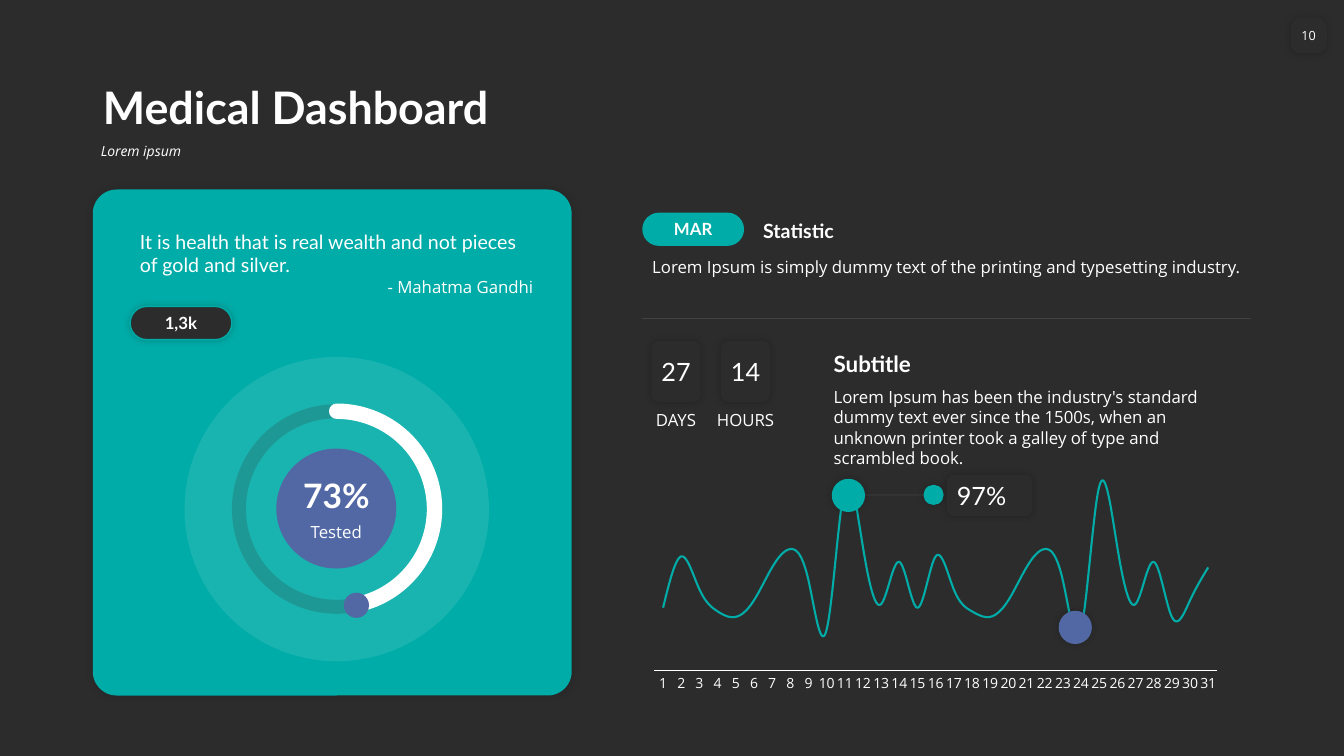
"""Build the medical dashboard slide."""
import pptx
import pptx.chart.data
import pptx.dml.color
import pptx.enum.chart
import pptx.enum.shapes
import pptx.enum.text
import pptx.oxml
import pptx.oxml.ns
import pptx.util
from pptx.util import Inches

DARK = pptx.dml.color.RGBColor(0x2C, 0x2C, 0x2C)
TEAL = pptx.dml.color.RGBColor(0x00, 0xAC, 0xA8)
BLUE = pptx.dml.color.RGBColor(0x52, 0x68, 0xA5)
WHITE = pptx.dml.color.RGBColor(0xFF, 0xFF, 0xFF)
HEADING, BODY = "Lato", "Open Sans"
SHAPE = pptx.enum.shapes.MSO_SHAPE
ALIGN = pptx.enum.text.PP_ALIGN
ANCHOR = pptx.enum.text.MSO_ANCHOR
AUTO = pptx.enum.text.MSO_AUTO_SIZE
DAILY_CASES = [34, 62, 44, 32, 29, 38, 56, 66, 49, 22, 100, 67, 36, 59,
               34, 62, 44, 32, 29, 38, 56, 66, 49, 22, 100, 67, 36, 59,
               29, 38, 56]


def add_xml(parent, tag, **attributes):
    """Append a drawing element to a parent and return it."""
    child = pptx.oxml.parse_xml(f"<a:{tag} {pptx.oxml.ns.nsdecls('a')}/>")
    for name, value in attributes.items():
        child.set(name, str(value))
    parent.append(child)
    return child


def set_alpha(holder, percent):
    """Make the solid colour inside an element partly transparent."""
    colour = holder.find(".//" + pptx.oxml.ns.qn("a:srgbClr"))
    add_xml(colour, "alpha", val=percent * 1000)


def style_paragraph(paragraph, size, font=BODY, bold=False, align=ALIGN.LEFT):
    """Format a paragraph and its runs."""
    paragraph.alignment = align
    for run in paragraph.runs:
        run.font.size = pptx.util.Pt(size)
        run.font.name = font
        run.font.bold = bold
        run.font.color.rgb = WHITE


def set_insets(frame, side, vertical):
    """Set the inner margins of a text frame in inches."""
    frame.margin_left = frame.margin_right = Inches(side)
    frame.margin_top = frame.margin_bottom = Inches(vertical)


def add_text(slide, box, text, size, font=BODY, bold=False, align=ALIGN.LEFT,
             anchor=ANCHOR.TOP, side=0.1):
    """Add a wrapping text box."""
    frame = slide.shapes.add_textbox(*map(Inches, box)).text_frame
    frame.word_wrap = True
    frame.auto_size = AUTO.SHAPE_TO_FIT_TEXT
    frame.vertical_anchor = anchor
    set_insets(frame, side, 0.05)
    frame.text = text
    style_paragraph(frame.paragraphs[0], size, font, bold, align)
    return frame


def add_shadow(shape, alpha=20, blur=5, distance=0):
    """Give a shape a soft outer shadow."""
    effects = shape._element.spPr.find(pptx.oxml.ns.qn("a:effectLst"))
    shadow = add_xml(effects, "outerShdw", blurRad=pptx.util.Pt(blur),
                     dist=pptx.util.Pt(distance), dir=45 * 60000,
                     algn="ctr", rotWithShape=0)
    add_xml(add_xml(shadow, "srgbClr", val="000000"), "alpha", val=alpha * 1000)


def add_figure(slide, kind, box, fill=None, line=None, width=1, radius=None):
    """Add a preset shape with plain fill and line."""
    shape = slide.shapes.add_shape(kind, *map(Inches, box))
    shape.shadow.inherit = False
    if fill is None:
        shape.fill.background()
    else:
        shape.fill.solid()
        shape.fill.fore_color.rgb = fill
    if line is None:
        shape.line.fill.background()
    else:
        shape.line.color.rgb = line
        shape.line.width = pptx.util.Pt(width)
    if radius is not None:
        shape.adjustments[0] = radius
    return shape


def label_shape(shape, text, size, font=HEADING, bold=False,
                align=ALIGN.CENTER, side=0, vertical=0.05, wrap=True):
    """Write text in the middle of a shape."""
    frame = shape.text_frame
    frame.word_wrap = wrap
    frame.vertical_anchor = ANCHOR.MIDDLE
    set_insets(frame, side, vertical)
    frame.text = text
    style_paragraph(frame.paragraphs[0], size, font, bold, align)


def add_rule(slide, left, right, y):
    """Add a faint horizontal line."""
    rule = slide.shapes.add_connector(
        pptx.enum.shapes.MSO_CONNECTOR.STRAIGHT,
        Inches(left), Inches(y), Inches(right), Inches(y))
    rule.line.color.rgb = WHITE
    rule.line.width = pptx.util.Pt(0.5)
    set_alpha(rule.line._ln, 10)
    add_xml(rule._element.spPr, "effectLst")


def add_dot(slide, left, top, size, fill):
    """Add a round marker with a shadow."""
    add_shadow(add_figure(slide, SHAPE.OVAL, (left, top, size, size), fill))


def fill_headings(slide):
    """Place the title and the line beneath it."""
    title, subtitle = slide.placeholders
    parts = ((title, (0.92, 0.58, 11.5, 0.8), "Medical Dashboard", 32, HEADING),
             (subtitle, (0.9, 1.38, 11.52, 0.36), "Lorem ipsum", 10, BODY))
    for holder, box, text, size, font in parts:
        holder.left, holder.top, holder.width, holder.height = map(Inches, box)
        frame = holder.text_frame
        frame.text = text
        frame.auto_size = AUTO.NONE
        paragraph = frame.paragraphs[0]
        properties = paragraph._p.get_or_add_pPr()
        properties.set("marL", "0")
        properties.set("indent", "0")
        add_xml(properties, "buNone")
        paragraph.line_spacing = 0.9
        paragraph.space_before = pptx.util.Pt(0)
        style_paragraph(paragraph, size, font, holder is title)
    title.text_frame.vertical_anchor = ANCHOR.BOTTOM
    subtitle.text_frame.vertical_anchor = ANCHOR.TOP
    subtitle.text_frame.paragraphs[0].runs[0].font.italic = True


def add_tested_ring(slide):
    """Draw the progress ring with its percentage."""
    halo = add_figure(slide, SHAPE.OVAL, (1.83, 3.54, 3.02, 3.02), WHITE)
    set_alpha(halo._element.spPr, 10)
    add_figure(slide, SHAPE.OVAL, (2.74, 4.45, 1.19, 1.19), BLUE)
    ring = (2.37, 4.08, 1.94, 1.94)
    track = add_figure(slide, SHAPE.OVAL, ring, line=DARK, width=10)
    set_alpha(track.line._ln, 20)
    progress = add_figure(slide, SHAPE.ARC, ring, line=WHITE, width=11, radius=162)
    progress.adjustments[1] = 44.96
    progress.line._ln.set("cap", "rnd")
    add_figure(slide, SHAPE.OVAL, (3.41, 5.88, 0.25, 0.25), BLUE)
    add_text(slide, (2.74, 4.66, 1.19, 0.5), "73%", 24, HEADING, True,
             ALIGN.CENTER, ANCHOR.BOTTOM)
    add_text(slide, (2.74, 5.13, 1.19, 0.3), "Tested", 12, align=ALIGN.CENTER)


def add_quote_card(slide):
    """Draw the teal card with its quote and count."""
    quote = add_text(slide, (1.29, 2.23, 4.1, 0.77), "It is health that is real "
                     "wealth and not pieces of gold and silver.", 14, HEADING)
    author = quote.add_paragraph()
    author.text = "- Mahatma Gandhi"
    style_paragraph(author, 12, align=ALIGN.RIGHT)
    count = add_figure(slide, SHAPE.ROUNDED_RECTANGLE, (1.29, 3.04, 1.01, 0.33),
                       DARK, TEAL, radius=0.5)
    add_shadow(count)
    label_shape(count, "1,3k", 12, bold=True, vertical=0)


def add_month_chart(slide):
    """Add the smoothed line of daily values."""
    data = pptx.chart.data.CategoryChartData()
    data.categories = [str(day) for day in range(1, len(DAILY_CASES) + 1)]
    data.add_series("Series 1", DAILY_CASES)
    chart = slide.shapes.add_chart(
        pptx.enum.chart.XL_CHART_TYPE.LINE_STACKED,
        *map(Inches, (6.37, 4.45, 5.82, 2.47)), data).chart
    chart.has_legend = chart.has_title = False
    chart.font.size = pptx.util.Pt(10)
    chart.font.name = BODY
    chart.font.color.rgb = WHITE
    chart.plots[0].vary_by_categories = False
    series = chart.plots[0].series[0]
    series.smooth = True
    series.marker.style = pptx.enum.chart.XL_MARKER_STYLE.NONE
    series.format.line.color.rgb = TEAL
    series.format.line.width = pptx.util.Pt(1.5)
    days, values = chart.category_axis, chart.value_axis
    days.major_tick_mark = pptx.enum.chart.XL_TICK_MARK.NONE
    days.format.line.color.rgb = WHITE
    days.format.line.width = pptx.util.Pt(0.75)
    values.visible = values.has_major_gridlines = False
    values.minimum_scale, values.maximum_scale = 0, 110
    area = chart._chartSpace.chart.plotArea
    for old in area.findall(pptx.oxml.ns.qn("c:layout")):
        area.remove(old)
    settings = (("layoutTarget", "inner"), ("xMode", "edge"), ("yMode", "edge"),
                ("x", 0.02), ("y", 0.08), ("w", 0.96), ("h", 0.81))
    places = "".join(f'<c:{name} val="{value}"/>' for name, value in settings)
    area.insert(0, pptx.oxml.parse_xml(
        f"<c:layout {pptx.oxml.ns.nsdecls('c')}>"
        f"<c:manualLayout>{places}</c:manualLayout></c:layout>"))


def add_statistics(slide):
    """Add the statistic text, the counters and the marked chart."""
    add_text(slide, (7.47, 2.11, 4.94, 0.34), "Statistic", 14, HEADING, True,
             anchor=ANCHOR.BOTTOM)
    add_text(slide, (6.37, 2.5, 6.05, 0.3), "Lorem Ipsum is simply dummy text "
             "of the printing and typesetting industry.", 12)
    month = add_figure(slide, SHAPE.ROUNDED_RECTANGLE, (6.37, 2.11, 1.01, 0.33),
                       TEAL, radius=0.5)
    label_shape(month, "MAR", 12, bold=True, vertical=0)
    add_rule(slide, 6.37, 12.41, 3.16)
    add_month_chart(slide)
    for left, number, unit, width in ((6.46, "27", "DAYS", 0.59),
                                      (7.15, "14", "HOURS", 0.67)):
        counter = add_figure(slide, SHAPE.ROUNDED_RECTANGLE,
                             (left, 3.38, 0.49, 0.61), DARK)
        add_shadow(counter)
        label_shape(counter, number, 18)
        add_text(slide, (left + (0.49 - width) / 2, 4.02, width, 0.3), unit, 12,
                 align=ALIGN.CENTER, side=0.04)
    add_text(slide, (8.17, 3.42, 4.26, 0.37), "Subtitle", 16, HEADING, True,
             anchor=ANCHOR.BOTTOM)
    add_text(slide, (8.17, 3.79, 4.26, 0.71), "Lorem Ipsum has been the "
             "industry's standard dummy text ever since the 1500s, when an "
             "unknown printer took a galley of type and scrambled book.", 12)
    add_dot(slide, 8.25, 4.75, 0.33, TEAL)
    add_dot(slide, 10.5, 6.06, 0.33, BLUE)
    add_rule(slide, 8.58, 9.19, 4.91)
    add_dot(slide, 9.16, 4.81, 0.2, TEAL)
    share = add_figure(slide, SHAPE.ROUNDED_RECTANGLE, (9.39, 4.71, 0.85, 0.41), DARK)
    add_shadow(share)
    label_shape(share, "97%", 18, align=ALIGN.LEFT, side=0.08)


def main():
    """Build and save the slide."""
    deck = pptx.Presentation()
    deck.slide_width, deck.slide_height = Inches(13.33), Inches(7.5)
    slide = deck.slides.add_slide(deck.slide_layouts[1])
    slide.background.fill.solid()
    slide.background.fill.fore_color.rgb = DARK
    card = add_figure(slide, SHAPE.ROUNDED_RECTANGLE, (0.92, 1.88, 4.75, 5.02),
                      TEAL, radius=0.05)
    add_shadow(card, 15, 6, 1)
    fill_headings(slide)
    page = add_figure(slide, SHAPE.ROUNDED_RECTANGLE, (12.8, 0.18, 0.36, 0.35),
                      DARK, radius=0.27)
    add_shadow(page)
    label_shape(page, "10", 9, BODY, wrap=False)
    add_quote_card(slide)
    add_tested_ring(slide)
    add_statistics(slide)
    deck.save("out.pptx")


if __name__ == "__main__":
    main()
